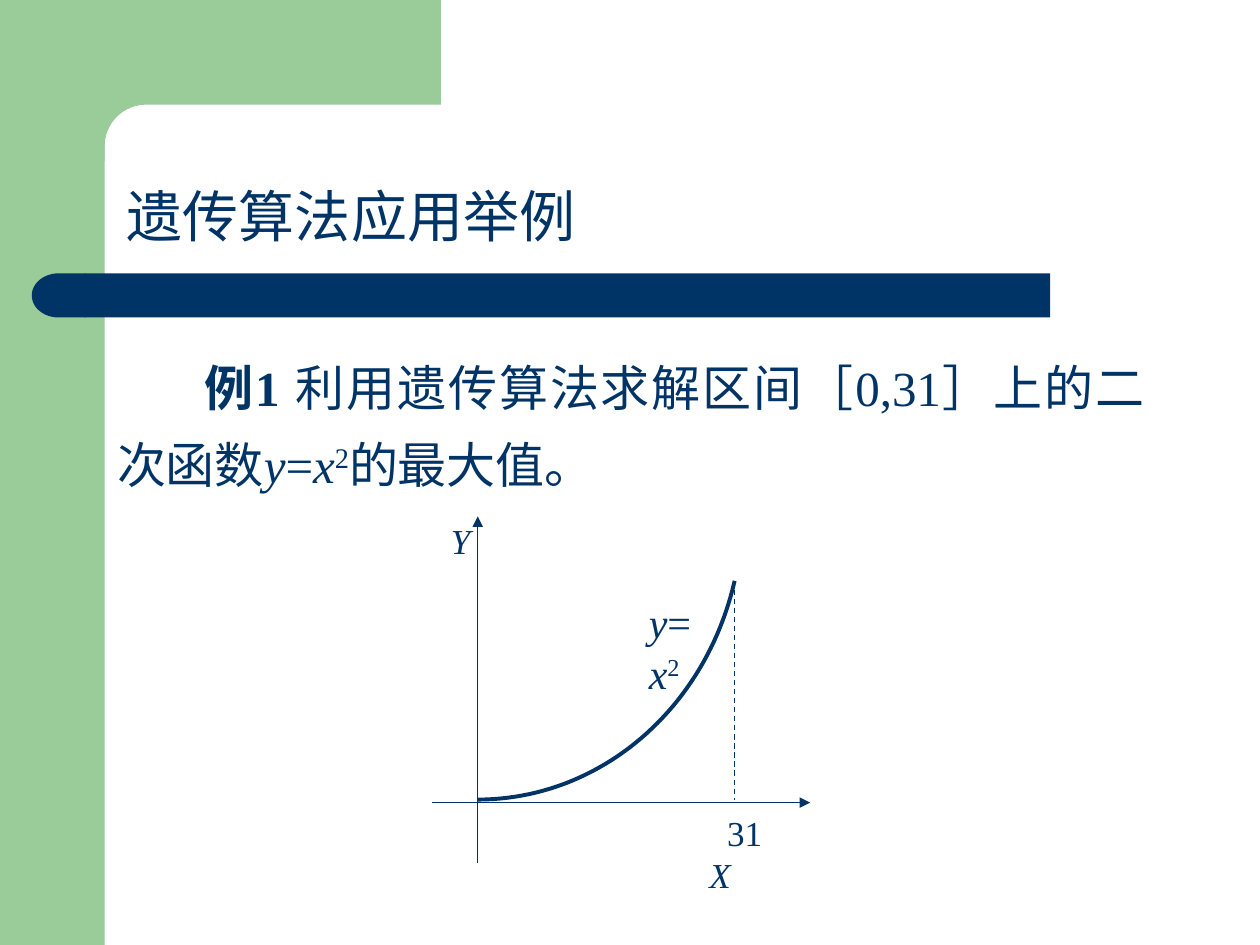
import dataclasses
import math

import lxml.etree
import pptx
import pptx.dml.color
import pptx.enum.dml
import pptx.enum.shapes
import pptx.enum.text
import pptx.oxml.ns
import pptx.util

Cm = pptx.util.Cm
Pt = pptx.util.Pt
SHAPES = pptx.enum.shapes.MSO_SHAPE


@dataclasses.dataclass(frozen=True)
class Theme:
    """Colours, fonts and sizes of the slide."""
    navy: str = "003366"
    green: str = "99CC99"
    serif: str = "Times New Roman"
    chinese: str = "Noto Sans CJK SC"
    title: int = 32
    body: int = 28
    formula: int = 24
    label: int = 20
    thin: float = 0.75
    thick: float = 2.25


THEME = Theme()


def rgb(color):
    """Return a colour object for a hex string."""
    return pptx.dml.color.RGBColor.from_string(color)


def add_element(parent, tag, **attributes):
    """Append a drawing element to a parent."""
    return lxml.etree.SubElement(parent, pptx.oxml.ns.qn(tag), attributes)


def fill_shape(shape, color):
    """Give a shape a plain fill without line or shadow."""
    shape.shadow.inherit = False
    shape.fill.solid()
    shape.fill.fore_color.rgb = rgb(color)
    shape.line.fill.background()


def add_block(slide, kind, left, top, width, height, color):
    """Add a filled preset shape."""
    shape = slide.shapes.add_shape(kind, Cm(left), Cm(top), Cm(width), Cm(height))
    fill_shape(shape, color)
    return shape


def add_outline(slide, points, close):
    """Add a freeform through points given in centimetres."""
    corners = [(Cm(x), Cm(y)) for x, y in points]
    builder = slide.shapes.build_freeform(*corners[0], scale=1.0)
    builder.add_line_segments(corners[1:], close=close)
    return builder.convert_to_shape()


def add_corner(slide):
    """Add the top band with its rounded inner corner."""
    center, radius = 2.95, 0.84
    angles = [math.radians(270 - 90 * step / 16) for step in range(17)]
    arc = [(center + radius * math.cos(angle), center + radius * math.sin(angle))
           for angle in angles]
    points = [(8.89, 0), (8.89, 2.11), *arc, (2.11, 3.25), (1.27, 3.25), (1.27, 0)]
    fill_shape(add_outline(slide, points, True), THEME.green)


def add_curve(slide, start, first, second, end, steps=48):
    """Add an open cubic curve."""
    points = []
    for step in range(steps + 1):
        t = step / steps
        weights = ((1 - t) ** 3, 3 * t * (1 - t) ** 2, 3 * t * t * (1 - t), t ** 3)
        points.append([sum(weight * value for weight, value in zip(weights, values))
                       for values in zip(start, first, second, end)])
    shape = add_outline(slide, points, False)
    shape.shadow.inherit = False
    shape.fill.background()
    shape.line.color.rgb = rgb(THEME.navy)
    shape.line.width = Pt(THEME.thick)


def add_line(slide, start, end, arrow=False, dashed=False):
    """Add a thin line, optionally dashed or with an arrowhead."""
    connector = slide.shapes.add_connector(
        pptx.enum.shapes.MSO_CONNECTOR.STRAIGHT, *map(Cm, (*start, *end)))
    connector.line.color.rgb = rgb(THEME.navy)
    connector.line.width = Pt(THEME.thin)
    if dashed:
        connector.line.dash_style = pptx.enum.dml.MSO_LINE.DASH
    if arrow:
        add_element(connector.line._get_or_add_ln(), "a:tailEnd", type="triangle")
    add_element(connector._element.spPr, "a:effectLst")


def add_runs(paragraph, runs, size, font):
    """Write (text, style) runs; styles are bold, italic, super or empty."""
    for text, style in runs:
        run = paragraph.add_run()
        run.text = text
        run.font.size = Pt(size)
        run.font.name = font
        run.font.color.rgb = rgb(THEME.navy)
        run.font.bold = style == "bold"
        run.font.italic = style == "italic"
        properties = run._r.get_or_add_rPr()
        add_element(properties, "a:ea", typeface=THEME.chinese)
        if style == "super":
            properties.set("baseline", "30000")


def add_text(slide, left, top, width, height, paragraphs, size,
             font=THEME.serif, wrap=True, indent=0):
    """Add a text box and return its first paragraph."""
    box = slide.shapes.add_textbox(Cm(left), Cm(top), Cm(width), Cm(height))
    frame = box.text_frame
    frame.word_wrap = wrap
    for index, runs in enumerate(paragraphs):
        paragraph = frame.add_paragraph() if index else frame.paragraphs[0]
        add_runs(paragraph, runs, size, font)
    first = frame.paragraphs[0]
    if indent:
        first._p.get_or_add_pPr().set("indent", str(Cm(indent)))
    return first


def add_frame(slide):
    """Add the green band and the navy title rule."""
    add_block(slide, SHAPES.RECTANGLE, 0, 0, 2.11, 19.05, THEME.green)
    add_corner(slide)
    add_block(slide, SHAPES.RECTANGLE, 1.7, 5.51, 19.47, 0.89, THEME.navy)
    cap = add_block(slide, SHAPES.FLOWCHART_DELAY, 0.64, 5.51, 1.08, 0.89, THEME.navy)
    cap.rotation = 180


def add_graph(slide):
    """Add the axes, the parabola and their labels."""
    origin_x, axis_y, limit_x = 9.63, 16.18, 14.81
    curve_y, peak_y = 16.12, 11.71
    add_text(slide, 12.83, 11.91, 1.68, 2.29,
             [[("y", "italic"), ("=", ""), ("x", "italic"), ("2", "super")]],
             THEME.formula)
    add_line(slide, (8.71, axis_y), (16.33, axis_y), arrow=True)
    add_text(slide, 14.05, 16.23, 3.07, 1.96,
             [[("31", "")], [("X", "italic")]], THEME.label, indent=0.36)
    add_text(slide, 8.84, 10.34, 0.61, 1.12, [[("Y", "italic")]], THEME.label)
    add_line(slide, (origin_x, 17.4), (origin_x, 10.41), arrow=True)
    add_curve(slide, (origin_x, curve_y), (12.09, curve_y), (14.22, 14.3),
              (limit_x, peak_y))
    add_line(slide, (limit_x, peak_y), (limit_x, curve_y), dashed=True)


def main():
    """Build and save the slide."""
    presentation = pptx.Presentation()
    presentation.slide_width = Cm(25.4)
    presentation.slide_height = Cm(19.05)
    slide = presentation.slides.add_slide(presentation.slide_layouts[6])
    add_frame(slide)
    add_text(slide, 2.31, 3.53, 9.8, 1.63, [[("遗传算法应用举例", "")]],
             THEME.title, font=THEME.chinese, wrap=False)
    problem = [("例1 ", "bold"), ("利用遗传算法求解区间［0,31］上的二次函数", ""),
               ("y", "italic"), ("=", ""), ("x", "italic"), ("2", "super"),
               ("的最大值。", "")]
    paragraph = add_text(slide, 2.11, 6.73, 21.21, 3.35, [problem], THEME.body,
                         indent=1.76)
    paragraph.alignment = pptx.enum.text.PP_ALIGN.JUSTIFY
    paragraph.line_spacing = 1.3
    add_graph(slide)
    presentation.save("out.pptx")


if __name__ == "__main__":
    main()
